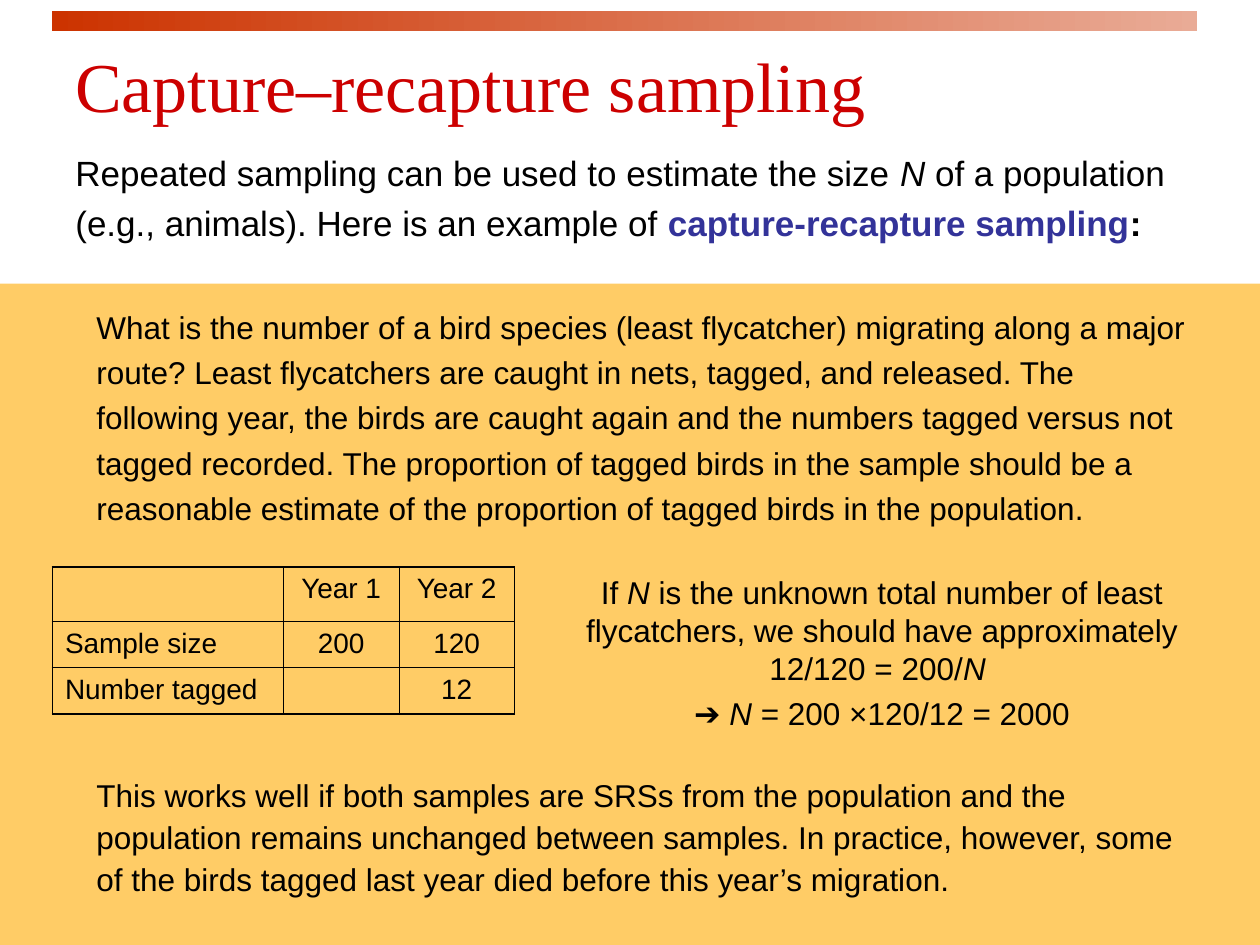
from dataclasses import dataclass

from lxml.etree import SubElement
from pptx import Presentation
from pptx.dml.color import RGBColor
from pptx.enum.shapes import MSO_SHAPE
from pptx.enum.text import MSO_ANCHOR, PP_ALIGN
from pptx.oxml.ns import qn
from pptx.util import Emu, Pt

EMU_PER_PX = 7620

BLACK = RGBColor(0x00, 0x00, 0x00)
RED = RGBColor(0xCC, 0x00, 0x00)
INDIGO = RGBColor(0x33, 0x33, 0x99)
SAND = RGBColor(0xFF, 0xCC, 0x66)
BAR_DARK = RGBColor(0xCC, 0x33, 0x00)
BAR_LIGHT = RGBColor(0xE9, 0xAB, 0x96)

OUTER_BORDER = Pt(1.08)
INNER_BORDER = Pt(0.45)
TABLE_SIZE = 16


@dataclass(frozen=True)
class Box:
    left: int
    top: int
    width: int
    height: int

    def emu(self) -> tuple[Emu, Emu, Emu, Emu]:
        return px(self.left), px(self.top), px(self.width), px(self.height)


@dataclass(frozen=True)
class Span:
    text: str
    italic: bool = False
    bold: bool = False
    color: RGBColor | None = None


@dataclass(frozen=True)
class TextBlock:
    box: Box
    paragraphs: list[list[Span]]
    size: int = 18
    font: str = "Arial"
    color: RGBColor = BLACK
    line_spacing: float = 1.0
    align: PP_ALIGN = PP_ALIGN.LEFT
    anchor: MSO_ANCHOR = MSO_ANCHOR.TOP


TITLE = TextBlock(
    Box(60, 30, 1080, 100), [[Span("Capture–recapture sampling")]],
    size=40, font="Times New Roman", color=RED, anchor=MSO_ANCHOR.MIDDLE,
)
INTRODUCTION = TextBlock(
    Box(60, 130, 1070, 120),
    [[
        Span("Repeated sampling can be used to estimate the size "),
        Span("N", italic=True),
        Span(" of a population (e.g., animals). Here is an example of "),
        Span("capture-recapture sampling", bold=True, color=INDIGO),
        Span(":", bold=True),
    ]],
    size=20, line_spacing=1.2,
)
EXAMPLE = TextBlock(
    Box(80, 280, 1070, 250),
    [[Span(
        "What is the number of a bird species (least flycatcher) migrating along a major route? "
        "Least flycatchers are caught in nets, tagged, and released. The following year, the birds "
        "are caught again and the numbers tagged versus not tagged recorded. The proportion of "
        "tagged birds in the sample should be a reasonable estimate of the proportion of tagged "
        "birds in the population."
    )]],
    line_spacing=1.2,
)
ESTIMATE = TextBlock(
    Box(540, 540, 600, 180),
    [
        [
            Span("If "),
            Span("N ", italic=True),
            Span("is the unknown total number of least flycatchers, we should have "
                 "approximately 12/120 = 200/"),
            Span("N ", italic=True),
        ],
        [Span("➔ "), Span("N ", italic=True), Span("= 200 ×120/12 = 2000")],
    ],
    align=PP_ALIGN.CENTER,
)
CAVEAT = TextBlock(
    Box(80, 730, 1070, 140),
    [[Span(
        "This works well if both samples are SRSs from the population and the population remains "
        "unchanged between samples. In practice, however, some of the birds tagged last year died "
        "before this year’s migration."
    )]],
    line_spacing=1.1,
)

TABLE_BOX = Box(50, 540, 440, 140)
COLUMN_WIDTHS = [220, 110, 110]
ROW_HEIGHTS = [52, 44, 44]
TABLE_ROWS = [
    ["", "Year 1", "Year 2"],
    ["Sample size", "200", "120"],
    ["Number tagged", "", "12"],
]


def px(length: int) -> Emu:
    return Emu(length * EMU_PER_PX)


def add_rectangle(slide, box: Box):
    shape = slide.shapes.add_shape(MSO_SHAPE.RECTANGLE, *box.emu())
    shape.shadow.inherit = False
    shape.line.fill.background()
    return shape


def add_text(slide, block: TextBlock) -> None:
    text_frame = slide.shapes.add_textbox(*block.box.emu()).text_frame
    text_frame.word_wrap = True
    text_frame.vertical_anchor = block.anchor
    for index, spans in enumerate(block.paragraphs):
        paragraph = text_frame.add_paragraph() if index else text_frame.paragraphs[0]
        paragraph.alignment = block.align
        paragraph.line_spacing = block.line_spacing
        if index:
            paragraph.space_before = Pt(4.5)
        for span in spans:
            run = paragraph.add_run()
            run.text = span.text
            run.font.name = block.font
            run.font.size = Pt(block.size)
            run.font.italic = span.italic
            run.font.bold = span.bold
            run.font.color.rgb = span.color or block.color


def set_borders(cell, row: int, column: int) -> None:
    outer_sides = {
        "L": column == 0,
        "R": column == len(COLUMN_WIDTHS) - 1,
        "T": row == 0,
        "B": row == len(ROW_HEIGHTS) - 1,
    }
    properties = cell._tc.get_or_add_tcPr()
    for position, (side, is_outer) in enumerate(outer_sides.items()):
        width = OUTER_BORDER if is_outer else INNER_BORDER
        line = SubElement(properties, qn(f"a:ln{side}"), w=str(int(width)))
        fill = SubElement(line, qn("a:solidFill"))
        SubElement(fill, qn("a:srgbClr"), val=str(BLACK))
        properties.insert(position, line)


def fill_cell(cell, text: str, row: int, column: int) -> None:
    cell.fill.background()
    set_borders(cell, row, column)
    paragraph = cell.text_frame.paragraphs[0]
    paragraph.alignment = PP_ALIGN.CENTER if column else PP_ALIGN.LEFT
    if not text:
        SubElement(paragraph._p, qn("a:endParaRPr"), sz=str(TABLE_SIZE * 100))
        return
    paragraph.text = text
    font = paragraph.runs[0].font
    font.name = "Arial"
    font.size = Pt(TABLE_SIZE)
    font.color.rgb = BLACK


def add_sample_table(slide) -> None:
    table = slide.shapes.add_table(
        len(ROW_HEIGHTS), len(COLUMN_WIDTHS), *TABLE_BOX.emu()
    ).table
    table.first_row = False
    table.horz_banding = False
    for column, width in zip(table.columns, COLUMN_WIDTHS):
        column.width = px(width)
    for row, height in zip(table.rows, ROW_HEIGHTS):
        row.height = px(height)
    for row, texts in enumerate(TABLE_ROWS):
        for column, text in enumerate(texts):
            fill_cell(table.cell(row, column), text, row, column)


def main() -> None:
    presentation = Presentation()
    presentation.slide_width = px(1200)
    presentation.slide_height = px(900)
    slide = presentation.slides.add_slide(presentation.slide_layouts[6])

    bar = add_rectangle(slide, Box(50, 10, 1090, 20))
    bar.fill.gradient()
    bar.fill.gradient_angle = 180
    for stop, color in zip(bar.fill.gradient_stops, (BAR_LIGHT, BAR_DARK)):
        stop.color.rgb = color

    panel = add_rectangle(slide, Box(0, 270, 1200, 630))
    panel.fill.solid()
    panel.fill.fore_color.rgb = SAND

    add_text(slide, TITLE)
    add_text(slide, INTRODUCTION)
    add_sample_table(slide)
    for block in (ESTIMATE, CAVEAT, EXAMPLE):
        add_text(slide, block)
    presentation.save("out.pptx")


if __name__ == "__main__":
    main()
